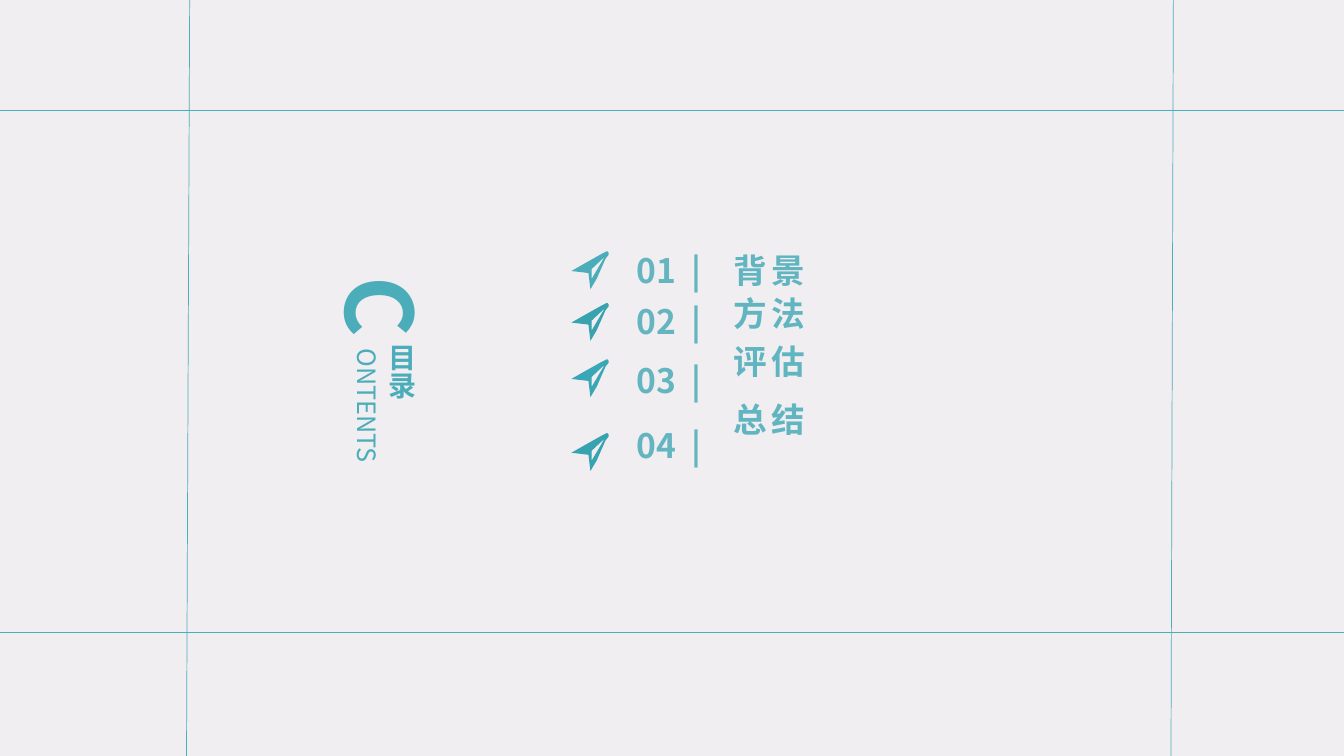
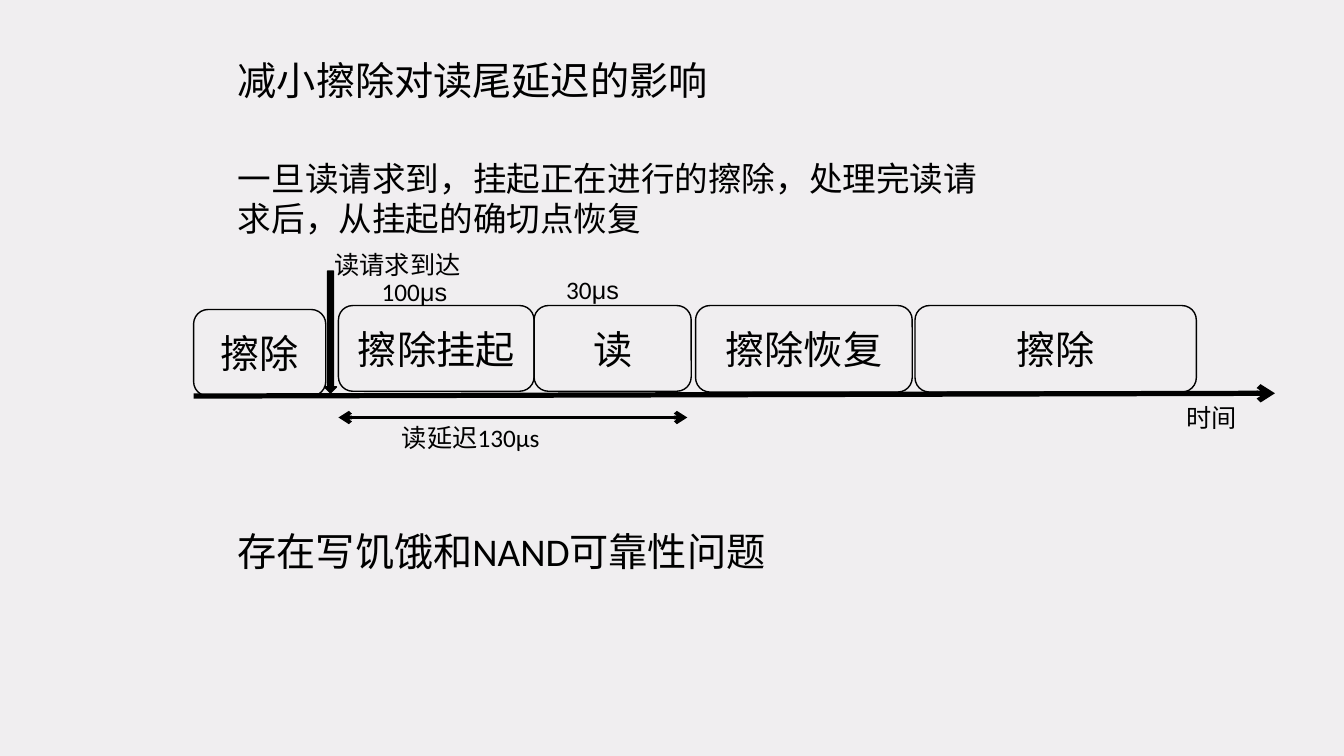
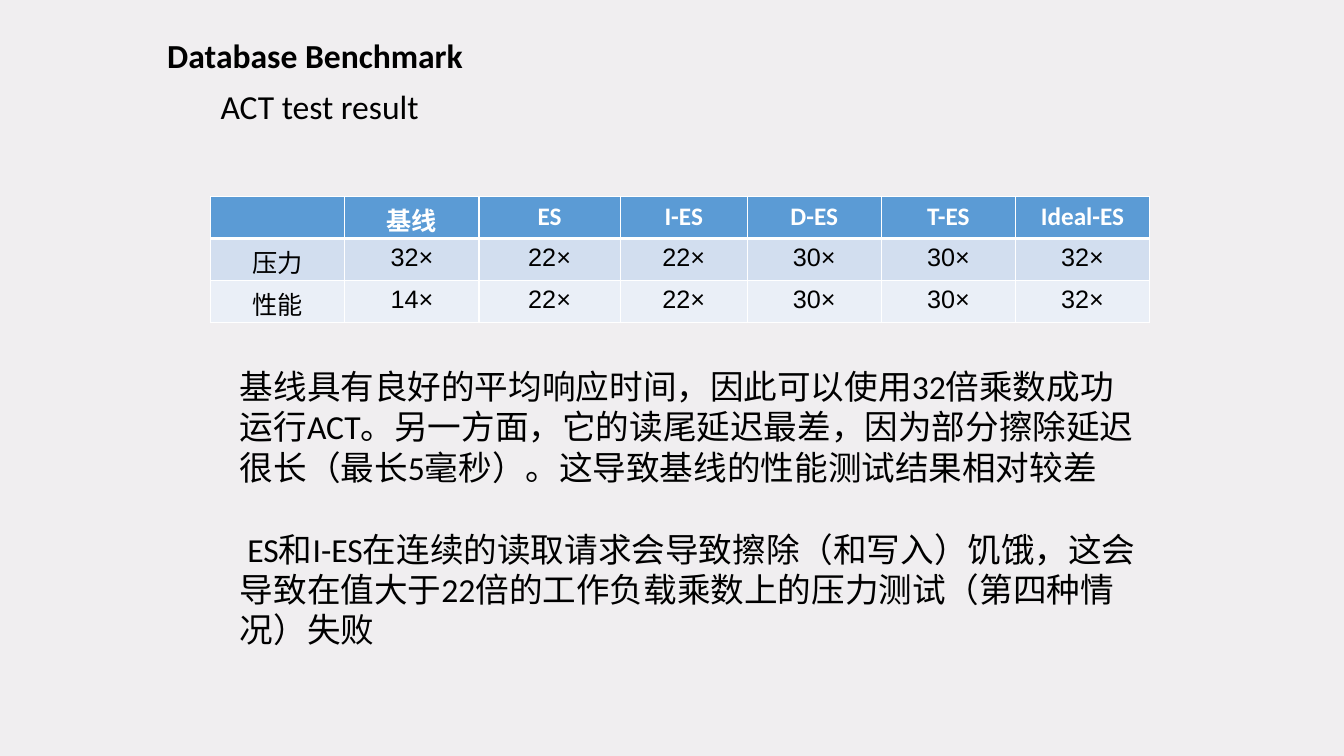
"""Build a three-slide deck on erase suspension and read tail latency."""
from dataclasses import dataclass, replace
from typing import Any

import lxml.etree
import pptx
import pptx.dml.color
import pptx.enum.shapes
import pptx.enum.text
import pptx.oxml.ns
import pptx.util

Cm = pptx.util.Cm
Pt = pptx.util.Pt
SHAPE = pptx.enum.shapes.MSO_SHAPE
ALIGN = pptx.enum.text.PP_ALIGN
ANCHOR = pptx.enum.text.MSO_ANCHOR
FIT = pptx.enum.text.MSO_AUTO_SIZE

WIDTH, HEIGHT = 33.87, 19.05
COLORS = {
    "background": "F0EEF0", "ink": "000000", "white": "FFFFFF",
    "teal": "4AADB9", "number": "64B5C0", "entry": "61B5C0",
    "header": "5B9BD5", "band": "D2DEEF", "light_band": "EAEFF7",
    "plane_1": "4AADB9", "plane_2": "38A2AF", "plane_3": "3AA7B6", "plane_4": "37A2B0",
}
NOTO = "Noto Sans CJK SC"


@dataclass(frozen=True)
class Style:
    size: float
    color: str = "ink"
    font: str = "Calibri"
    asian_font: str = "Calibri"
    bold: bool = False
    tracking: float = 0


@dataclass(frozen=True)
class Box:
    left: float
    top: float
    width: float
    height: float

    def lengths(self) -> tuple[int, int, int, int]:
        return Cm(self.left), Cm(self.top), Cm(self.width), Cm(self.height)


@dataclass(frozen=True)
class Entry:
    number: str
    name: str
    plane_top: float
    number_top: float
    gap_before: float
    plane_color: str


@dataclass(frozen=True)
class Label:
    text: str
    box: Box
    unit: str = ""


@dataclass(frozen=True)
class Phase:
    text: str
    box: Box


HEADING = Style(28)
BODY = Style(24)
LABEL = Style(18)
UNIT = Style(18, font="Arial")
CONTENTS = Style(24, "number", NOTO, NOTO, True)

ENTRIES = [
    Entry("01", "背景", 6.32, 6.17, 0, "plane_1"),
    Entry("02", "方法", 7.62, 7.47, 0.07, "plane_2"),
    Entry("03", "评估", 9.04, 8.94, 0.19, "plane_3"),
    Entry("04", "总结", 10.9, 10.57, 0.45, "plane_4"),
]
PLANE_OUTLINE = [(94, 5), (90, 1), (76, 8), (28, 35), (0, 51), (43, 56),
                 (48, 97), (64, 70), (86, 20), (94, 10)]
PLANE_FOLD = [(84, 15), (51, 71), (51, 46)]
PHASES = [
    Phase("擦除", Box(4.88, 7.8, 3.33, 2.18)),
    Phase("擦除挂起", Box(8.53, 7.7, 4.93, 2.16)),
    Phase("读", Box(13.46, 7.7, 3.96, 2.16)),
    Phase("擦除恢复", Box(17.53, 7.7, 5.46, 2.18)),
    Phase("擦除", Box(23.06, 7.7, 7.09, 2.18)),
]
TIMELINE_LABELS = [
    Label("读请求到达", Box(8.18, 6.15, 3.86, 1.02)),
    Label("100", Box(9.37, 6.83, 3.28, 1.02), "μs"),
    Label("30", Box(14.02, 6.78, 3.28, 1.02), "μs"),
    Label("读延迟130μs", Box(9.88, 10.52, 6.12, 1.02)),
    Label("时间", Box(29.64, 10.01, 2.26, 1.02)),
]
RESULTS = [
    ["", "基线", "ES", "I-ES", "D-ES", "T-ES", "Ideal-ES"],
    ["压力", "32×", "22×", "22×", "30×", "30×", "32×"],
    ["性能", "14×", "22×", "22×", "30×", "30×", "32×"],
]
RESULT_WIDTHS = [3.38, 3.38, 3.56, 3.2, 3.38, 3.38, 3.38]
RESULT_FILLS = ["header", "band", "light_band"]
FINDINGS = [
    "基线具有良好的平均响应时间，因此可以使用32倍乘数成功运行ACT。另一方面，它的读尾延迟最差，"
    "因为部分擦除延迟很长（最长5毫秒）。这导致基线的性能测试结果相对较差",
    " ES和I-ES在连续的读取请求会导致擦除（和写入）饥饿，这会导致在值大于22倍的工作负载乘数上的"
    "压力测试（第四种情况）失败",
]


def rgb(color: str) -> pptx.dml.color.RGBColor:
    return pptx.dml.color.RGBColor.from_string(COLORS[color])


def add_xml(parent: Any, tag: str, **attributes: str) -> Any:
    return lxml.etree.SubElement(parent, pptx.oxml.ns.qn(tag), attributes)


def format_run(run: Any, style: Style) -> None:
    run.font.size = Pt(style.size)
    run.font.bold = style.bold
    run.font.color.rgb = rgb(style.color)
    run.font.name = style.font
    properties = run._r.get_or_add_rPr()
    add_xml(properties, "a:ea", typeface=style.asian_font)
    if style.tracking:
        properties.set("spc", str(int(style.tracking * 100)))


def write(frame: Any, text: str, style: Style, align: Any = ALIGN.LEFT) -> None:
    frame.text = text
    for paragraph in frame.paragraphs:
        paragraph.alignment = align
        for run in paragraph.runs:
            format_run(run, style)


def set_vertical(frame: Any) -> None:
    frame._txBody.bodyPr.set("vert", "eaVert")


def add_text(slide: Any, text: str, box: Box, style: Style) -> Any:
    shape = slide.shapes.add_textbox(*box.lengths())
    write(shape.text_frame, text, style)
    shape.text_frame.word_wrap = True
    shape.text_frame.auto_size = FIT.SHAPE_TO_FIT_TEXT
    return shape


def place(placeholder: Any, text: str, box: Box, style: Style) -> Any:
    placeholder.left, placeholder.top, placeholder.width, placeholder.height = box.lengths()
    frame = placeholder.text_frame
    write(frame, text, style)
    frame.word_wrap = True
    frame.auto_size = FIT.NONE
    frame.vertical_anchor = ANCHOR.TOP
    return frame


def add_slide(deck: Any, title: str, box: Box, style: Style) -> tuple[Any, Any]:
    slide = deck.slides.add_slide(deck.slide_layouts[1])
    return slide, place(slide.shapes.title, title, box, style)


def fill_body(slide: Any, lines: list[str], gaps: list[int], box: Box, style: Style) -> None:
    frame = place(slide.placeholders[1], "\n".join(lines), box, style)
    for paragraph, gap in zip(frame.paragraphs, gaps):
        paragraph.space_before = gap
        properties = paragraph._p.get_or_add_pPr()
        properties.set("marL", "0")
        properties.set("indent", "0")
        add_xml(properties, "a:buNone")


def add_line(slide: Any, start: tuple[float, float], end: tuple[float, float],
             color: str, weight: float, arrows: tuple[str, ...] = ()) -> None:
    line = slide.shapes.add_connector(
        pptx.enum.shapes.MSO_CONNECTOR.STRAIGHT, *map(Cm, start + end))
    line.line.color.rgb = rgb(color)
    line.line.width = Pt(weight)
    for arrow in arrows:
        add_xml(line.line._get_or_add_ln(), arrow, type="arrow")
    add_xml(line._element.spPr, "a:effectLst")


def add_plane(slide: Any, left: float, top: float, color: str) -> None:
    builder = slide.shapes.build_freeform(*PLANE_OUTLINE[0], scale=Cm(0.01))
    builder.add_line_segments(PLANE_OUTLINE[1:], close=True)
    builder.move_to(*PLANE_FOLD[0])
    builder.add_line_segments(PLANE_FOLD[1:], close=True)
    plane = builder.convert_to_shape(Cm(left), Cm(top))
    plane.shadow.inherit = False
    plane.fill.solid()
    plane.fill.fore_color.rgb = rgb(color)
    plane.line.fill.background()


def add_outlined(slide: Any, kind: Any, box: Box) -> Any:
    shape = slide.shapes.add_shape(kind, *box.lengths())
    shape.shadow.inherit = False
    shape.fill.background()
    shape.line.color.rgb = rgb("ink")
    shape.line.width = Pt(1)
    return shape


def add_borders(cell: Any, top: float, bottom: float) -> None:
    properties = cell._tc.get_or_add_tcPr()
    for tag, weight in (("a:lnL", 1), ("a:lnR", 1), ("a:lnT", top), ("a:lnB", bottom)):
        border = add_xml(properties, tag, w=str(Pt(weight)))
        add_xml(add_xml(border, "a:solidFill"), "a:srgbClr", val=COLORS["white"])


def add_results(slide: Any) -> None:
    box = Box(5.31, 4.95, sum(RESULT_WIDTHS), 3.18)
    table = slide.shapes.add_table(len(RESULTS), len(RESULT_WIDTHS), *box.lengths()).table
    for column, width in zip(table.columns, RESULT_WIDTHS):
        column.width = Cm(width)
    header = Style(18, "white", asian_font=NOTO, bold=True)
    for r, values in enumerate(RESULTS):
        for c, value in enumerate(values):
            cell = table.cell(r, c)
            add_borders(cell, 3 if r == 1 else 1, 3 if r == 0 else 1)
            cell.fill.solid()
            cell.fill.fore_color.rgb = rgb(RESULT_FILLS[r])
            style = header if r == 0 else replace(UNIT if c else LABEL, asian_font=NOTO)
            write(cell.text_frame, value, style, ALIGN.CENTER)


def build_contents(deck: Any) -> None:
    slide, heading = add_slide(deck, "目录", Box(9.42, 8.53, 1.37, 3.99),
                               Style(20, "teal", NOTO, NOTO, True))
    set_vertical(heading)
    initial = add_text(slide, "C", Box(8.36, 6.45, 2.54, 3.07),
                       Style(66, "teal", NOTO, NOTO, True))
    initial.rotation = 90
    remainder = add_text(slide, "ONTENTS", Box(8.51, 8.53, 1.27, 3.99),
                         Style(18, "teal", NOTO, NOTO))
    set_vertical(remainder.text_frame)
    fill_body(slide, [entry.name for entry in ENTRIES],
              [Cm(entry.gap_before) for entry in ENTRIES],
              Box(18.24, 6.17, 7.37, 5.67), replace(CONTENTS, color="entry", tracking=3))
    for entry in ENTRIES:
        add_plane(slide, 14.4, entry.plane_top, entry.plane_color)
        add_text(slide, f"{entry.number}  |", Box(15.8, entry.number_top, 2.67, 1.27), CONTENTS)
    for y in (2.79, 15.93):
        add_line(slide, (0, y), (WIDTH, y), "teal", 0.5)
    for top_x, bottom_x in ((4.78, 4.7), (29.57, 29.51)):
        add_line(slide, (top_x, 0), (bottom_x, HEIGHT), "teal", 0.5)


def build_suspension(deck: Any) -> None:
    slide, _ = add_slide(deck, "减小擦除对读尾延迟的影响", Box(5.74, 1.3, 13.77, 1.45), HEADING)
    fill_body(slide, ["一旦读请求到，挂起正在进行的擦除，处理完读请求后，从挂起的确切点恢复"],
              [Pt(0)], Box(5.74, 3.84, 19.84, 2.31), BODY)
    add_line(slide, (4.88, 9.98), (32.13, 9.91), "ink", 3.75, ("a:tailEnd",))
    for phase in PHASES:
        block = add_outlined(slide, SHAPE.ROUNDED_RECTANGLE, phase.box)
        write(block.text_frame, phase.text, HEADING, ALIGN.CENTER)
        block.text_frame.vertical_anchor = ANCHOR.MIDDLE
    request = add_outlined(slide, SHAPE.DOWN_ARROW, Box(8.18, 6.83, 0.3, 3.07))
    request.fill.solid()
    request.fill.fore_color.rgb = rgb("ink")
    add_line(slide, (8.53, 10.52), (17.32, 10.52), "ink", 2.75, ("a:headEnd", "a:tailEnd"))
    for label in TIMELINE_LABELS:
        caption = add_text(slide, label.text, label.box, LABEL)
        if label.unit:
            unit = caption.text_frame.paragraphs[0].add_run()
            unit.text = label.unit
            format_run(unit, UNIT)
    add_text(slide, "存在写饥饿和NAND可靠性问题", Box(5.74, 13.16, 22.53, 1.45), HEADING)


def build_benchmark(deck: Any) -> None:
    slide, _ = add_slide(deck, "Database Benchmark", Box(3.96, 0.76, 10.8, 1.27),
                         replace(BODY, bold=True))
    add_text(slide, "ACT test result", Box(5.31, 2.03, 7.75, 1.27), BODY)
    add_results(slide)
    fill_body(slide, FINDINGS, [Pt(0), Pt(30)], Box(5.79, 9.09, 23.19, 8.6), BODY)


def main() -> None:
    deck = pptx.Presentation()
    deck.slide_width, deck.slide_height = Cm(WIDTH), Cm(HEIGHT)
    backdrop = deck.slide_master.background.fill
    backdrop.solid()
    backdrop.fore_color.rgb = rgb("background")
    build_contents(deck)
    build_suspension(deck)
    build_benchmark(deck)
    deck.save("out.pptx")


if __name__ == "__main__":
    main()
